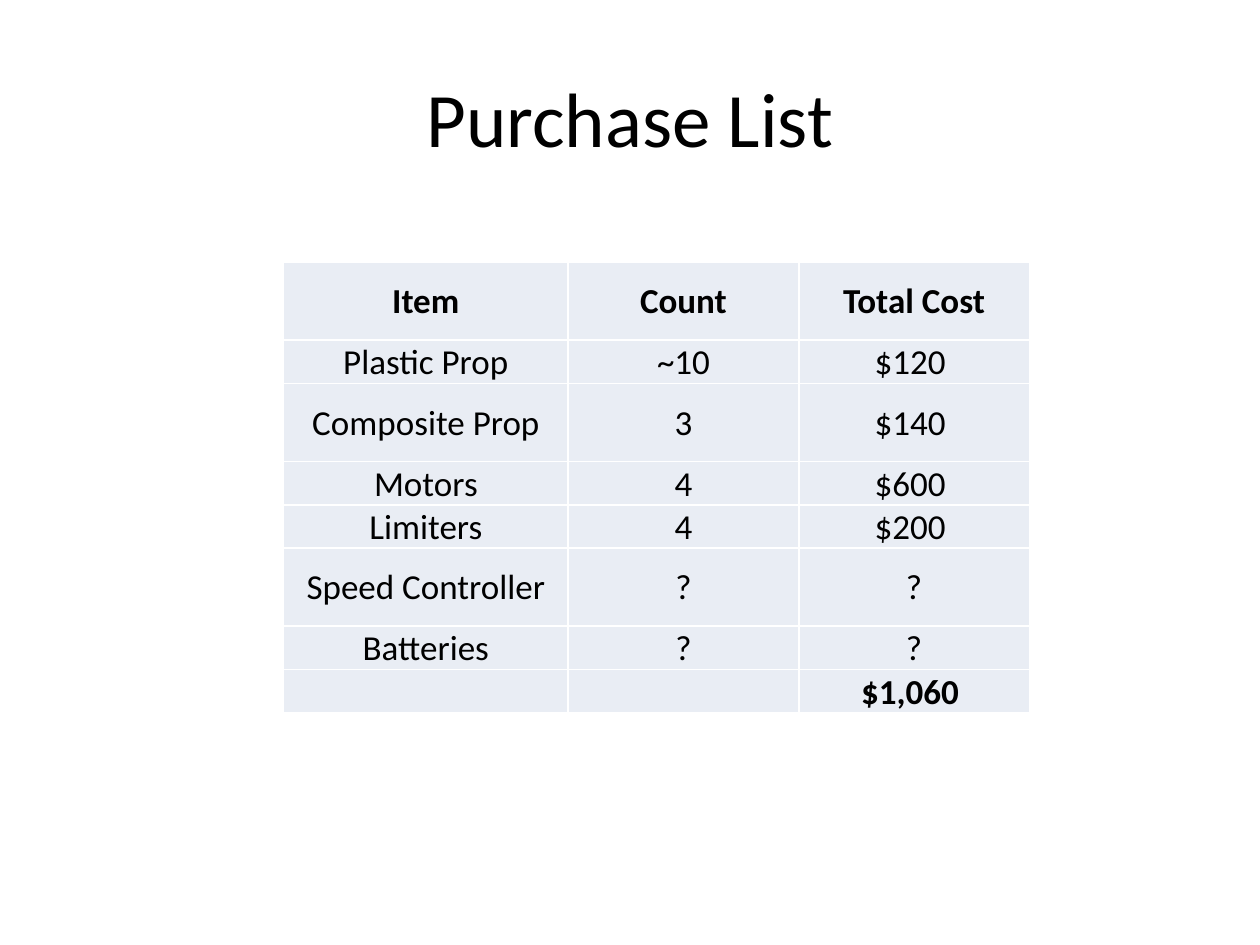
from dataclasses import dataclass

from lxml.etree import SubElement
from pptx import Presentation
from pptx.dml.color import RGBColor
from pptx.enum.text import MSO_ANCHOR, PP_ALIGN
from pptx.oxml.ns import qn
from pptx.util import Inches, Pt


@dataclass(frozen=True)
class Theme:
    """Colours, font and type sizes of the slide."""
    font: str = "Calibri"
    ink: str = "000000"
    cell: str = "E9EDF4"
    border: str = "FFFFFF"
    border_width: int = 1
    title_size: int = 44
    table_size: int = 20


THEME = Theme()
PURCHASES = [
    ("Item", "Count", "Total Cost"),
    ("Plastic Prop", "~10", "$120 "),
    ("Composite Prop", "3", "$140 "),
    ("Motors", "4", "$600 "),
    ("Limiters", "4", "$200 "),
    ("Speed Controller", "?", "?"),
    ("Batteries", "?", "?"),
    ("", "", "$1,060 "),
]
COLUMN_WIDTHS = (2.26, 1.83, 1.83)
TALL_ROWS = ("Item", "Composite Prop", "Speed Controller")
TALL_HEIGHT, ROW_HEIGHT = 0.62, 0.32


def write_centred(frame, text, size, bold=False):
    """Put one centred line of themed text into a text frame."""
    frame.text = text
    line = frame.paragraphs[0]
    line.alignment = PP_ALIGN.CENTER
    for run in line.runs:
        run.font.name = THEME.font
        run.font.size = Pt(size)
        run.font.bold = bold
        run.font.color.rgb = RGBColor.from_string(THEME.ink)


def add_title(slide, text, left, top, width, height):
    """Place the slide title in the given box."""
    title = slide.shapes.add_textbox(left, top, width, height).text_frame
    title.word_wrap = True
    title.vertical_anchor = MSO_ANCHOR.MIDDLE
    write_centred(title, text, THEME.title_size)


def style_cell(cell):
    """Give a cell its margins, borders and fill."""
    cell.vertical_anchor = MSO_ANCHOR.MIDDLE
    cell.margin_left = cell.margin_right = cell.margin_top = Inches(0.01)
    cell.margin_bottom = 0
    properties = cell._tc.get_or_add_tcPr()
    for side in ("a:lnL", "a:lnR", "a:lnT", "a:lnB"):
        edge = SubElement(properties, qn(side), w=str(Pt(THEME.border_width)))
        paint = SubElement(edge, qn("a:solidFill"))
        SubElement(paint, qn("a:srgbClr"), val=THEME.border)
    cell.fill.solid()
    cell.fill.fore_color.rgb = RGBColor.from_string(THEME.cell)


def add_purchase_table(slide, left, top, width, height):
    """Place the purchase table, with bold header and total, in the given box."""
    table = slide.shapes.add_table(
        len(PURCHASES), len(COLUMN_WIDTHS), left, top, width, height).table
    for column, column_width in zip(table.columns, COLUMN_WIDTHS):
        column.width = Inches(column_width)
    for index, (row, purchase) in enumerate(zip(table.rows, PURCHASES)):
        row.height = Inches(TALL_HEIGHT if purchase[0] in TALL_ROWS else ROW_HEIGHT)
        bold = index in (0, len(PURCHASES) - 1)
        for cell, value in zip(row.cells, purchase):
            style_cell(cell)
            write_centred(cell.text_frame, value, THEME.table_size, bold)


def main():
    """Build and save the purchase list slide."""
    deck = Presentation()
    deck.slide_width, deck.slide_height = Inches(10), Inches(7.5)
    slide = deck.slides.add_slide(deck.slide_layouts[6])
    add_title(slide, "Purchase List", Inches(0.5), Inches(0.3), Inches(9), Inches(1.25))
    add_purchase_table(slide, Inches(2.25), Inches(2.08), Inches(5.92), Inches(3.56))
    deck.save("out.pptx")


if __name__ == "__main__":
    main()
